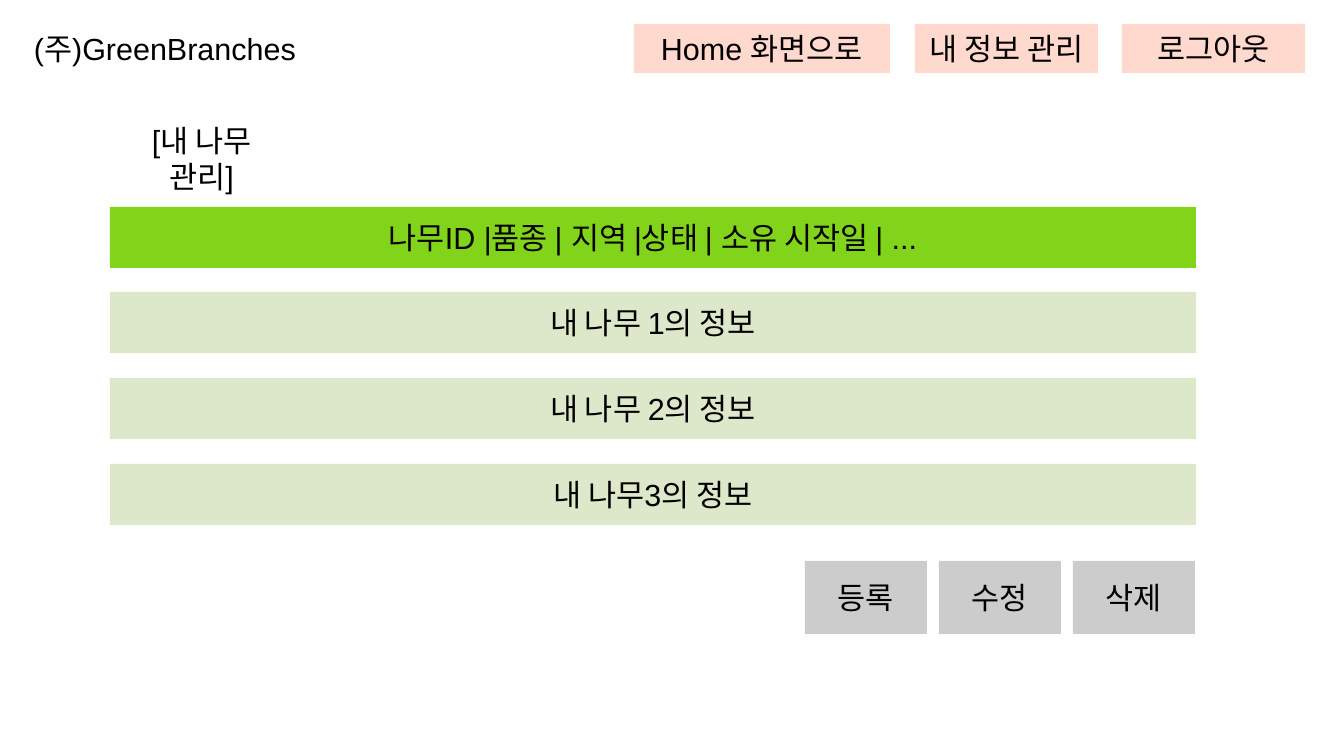
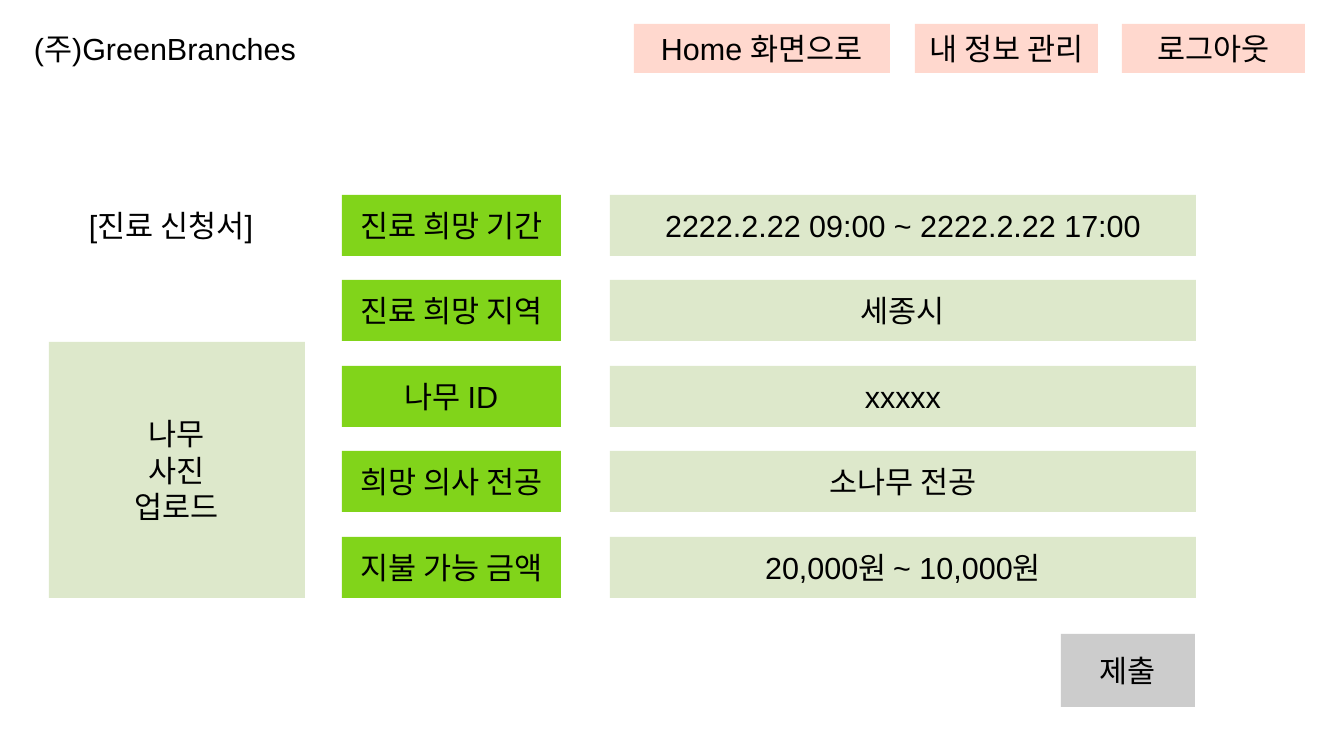
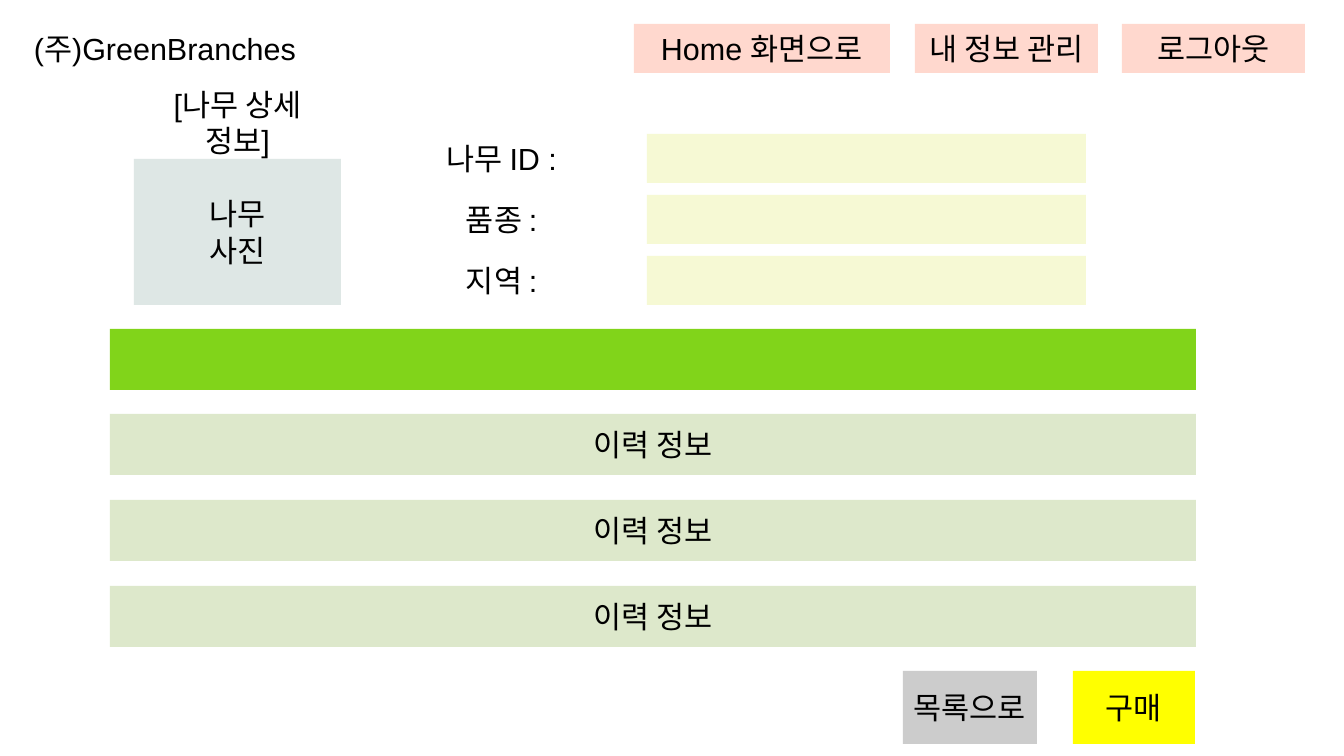
from dataclasses import dataclass

import pptx
import pptx.dml.color
import pptx.enum.shapes
import pptx.enum.text
import pptx.presentation
import pptx.shapes.base
import pptx.slide
import pptx.util

# Shared style; lengths are pixels, 122 to the inch
EMU_PER_PIXEL = 914400 / 122
SLIDE_WIDTH, SLIDE_HEIGHT = 1344, 756
FONT_NAME, FONT_SIZE = "Arial", 18
COLORS = {
    "text": "000000",
    "navigation": "FFD8CE",
    "heading": "81D41A",
    "row": "DDE8CB",
    "button": "CCCCCC",
    "purchase": "FFFF00",
    "photo": "DEE7E5",
    "field": "F6F9D4",
}
TABLE_LEFT, TABLE_WIDTH = 110, 1086
ROW_HEIGHT, BUTTON_HEIGHT = 61, 73


@dataclass(frozen=True)
class Box:
    left: int
    top: int
    width: int
    height: int
    text: str = ""
    color: str | None = None


NAVIGATION = [
    Box(634, 24, 256, 49, "Home 화면으로", "navigation"),
    Box(915, 24, 183, 49, "내 정보 관리", "navigation"),
    Box(1122, 24, 183, 49, "로그아웃", "navigation"),
]
COMPANY = Box(37, 12, 256, 73, "(주)GreenBranches")


# Drawing helpers
def emu(pixels: int) -> pptx.util.Emu:
    return pptx.util.Emu(round(pixels * EMU_PER_PIXEL))


def rgb(name: str) -> pptx.dml.color.RGBColor:
    return pptx.dml.color.RGBColor.from_string(COLORS[name])


def spread(first: int, last: int, count: int) -> list[int]:
    """Equally spaced positions from first to last."""
    return [first + (last - first) * index // (count - 1) for index in range(count)]


def write_text(shape: pptx.shapes.base.BaseShape, text: str) -> None:
    frame = shape.text_frame
    frame.text = text
    frame.word_wrap = False
    frame.auto_size = pptx.enum.text.MSO_AUTO_SIZE.NONE
    frame.vertical_anchor = pptx.enum.text.MSO_ANCHOR.MIDDLE
    for paragraph in frame.paragraphs:
        paragraph.alignment = pptx.enum.text.PP_ALIGN.CENTER
        paragraph.font.name = FONT_NAME
        paragraph.font.size = pptx.util.Pt(FONT_SIZE)
        paragraph.font.color.rgb = rgb("text")


def draw_box(slide: pptx.slide.Slide, box: Box) -> None:
    bounds = [emu(value) for value in (box.left, box.top, box.width, box.height)]
    if box.color is None:
        shape = slide.shapes.add_textbox(*bounds)
    else:
        rectangle = pptx.enum.shapes.MSO_SHAPE.RECTANGLE
        shape = slide.shapes.add_shape(rectangle, *bounds)
        shape.shadow.inherit = False
        shape.fill.solid()
        shape.fill.fore_color.rgb = rgb(box.color)
        shape.line.fill.background()
    if box.text:
        write_text(shape, box.text)


def add_page(
    presentation: pptx.presentation.Presentation, title: Box, boxes: list[Box]
) -> None:
    slide = presentation.slides.add_slide(
        presentation.slide_layouts.get_by_name("Title Only")
    )
    heading = slide.shapes.title
    heading.left, heading.top = emu(title.left), emu(title.top)
    heading.width, heading.height = emu(title.width), emu(title.height)
    write_text(heading, title.text)
    for box in [COMPANY, *NAVIGATION, *boxes]:
        draw_box(slide, box)


def table_rows(first: int, last: int, texts: list[str]) -> list[Box]:
    """Full-width rows, the first one in the heading colour."""
    tops = spread(first, last, len(texts))
    return [
        Box(TABLE_LEFT, top, TABLE_WIDTH, ROW_HEIGHT, text, "row" if index else "heading")
        for index, (top, text) in enumerate(zip(tops, texts))
    ]


# Tree list
def add_tree_list(presentation: pptx.presentation.Presentation) -> None:
    rows = table_rows(207, 464, [
        "나무ID |품종 | 지역 |상태 | 소유 시작일 | ...",
        "내 나무 1의 정보",
        "내 나무 2의 정보",
        "내 나무3의 정보",
    ])
    actions = ["등록", "수정", "삭제"]
    buttons = [
        Box(left, 561, 122, BUTTON_HEIGHT, text, "button")
        for left, text in zip(spread(805, 1073, len(actions)), actions)
    ]
    add_page(presentation, Box(110, 134, 183, 49, "[내 나무 관리]"), rows + buttons)


# Treatment request form
def add_request_form(presentation: pptx.presentation.Presentation) -> None:
    entries = [
        ("진료 희망 기간", "2222.2.22 09:00 ~ 2222.2.22 17:00"),
        ("진료 희망 지역", "세종시"),
        ("나무 ID", "xxxxx"),
        ("희망 의사 전공", "소나무 전공"),
        ("지불 가능 금액", "20,000원 ~ 10,000원"),
    ]
    boxes = [
        Box(49, 342, 256, 256, "나무\n사진\n업로드", "row"),
        Box(1061, 634, 134, BUTTON_HEIGHT, "제출", "button"),
    ]
    for top, (label, value) in zip(spread(195, 537, len(entries)), entries):
        boxes.append(Box(342, top, 219, ROW_HEIGHT, label, "heading"))
        boxes.append(Box(610, top, 586, ROW_HEIGHT, value, "row"))
    add_page(presentation, Box(61, 195, 220, ROW_HEIGHT, "[진료 신청서]"), boxes)


# Tree details
def add_tree_details(presentation: pptx.presentation.Presentation) -> None:
    boxes = table_rows(329, 586, [""] + ["이력 정보"] * 3)
    boxes += [
        Box(134, 159, 207, 146, "나무\n사진", "photo"),
        Box(903, 671, 134, BUTTON_HEIGHT, "목록으로", "button"),
        Box(1073, 671, 122, BUTTON_HEIGHT, "구매", "purchase"),
    ]
    labels = ["나무 ID : ", "품종 : ", "지역 : "]
    for top, label in zip(spread(134, 256, len(labels)), labels):
        boxes.append(Box(378, top, 256, 49, label))
        boxes.append(Box(647, top, 439, 49, color="field"))
    add_page(presentation, Box(146, 98, 183, 49, "[나무 상세 정보]"), boxes)


def main() -> None:
    presentation = pptx.Presentation()
    presentation.slide_width = emu(SLIDE_WIDTH)
    presentation.slide_height = emu(SLIDE_HEIGHT)
    add_tree_list(presentation)
    add_request_form(presentation)
    add_tree_details(presentation)
    presentation.save("out.pptx")


main()
